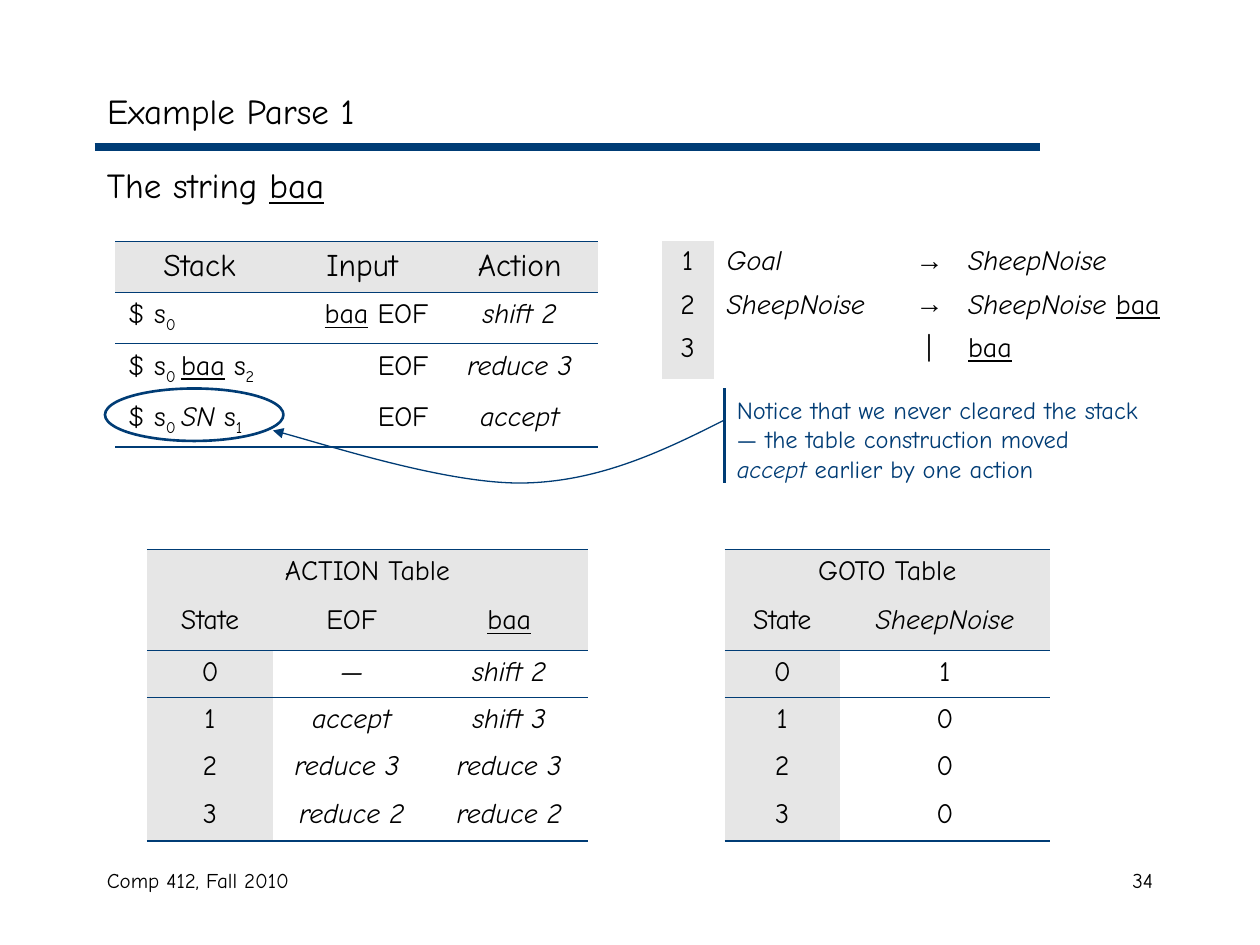
from lxml import etree
from pptx import Presentation
from pptx.dml.color import RGBColor
from pptx.enum.shapes import MSO_CONNECTOR, MSO_SHAPE
from pptx.enum.text import MSO_ANCHOR, PP_ALIGN
from pptx.oxml.ns import qn
from pptx.util import Pt

LEFT, CENTER, RIGHT = PP_ALIGN.LEFT, PP_ALIGN.CENTER, PP_ALIGN.RIGHT
STRAIGHT = MSO_CONNECTOR.STRAIGHT
COLORS = {"ink": "000000", "navy": "003C75", "shade": "E6E6E6"}
FONT = "Comic Neue"
NO_STYLE = "{2D5ABB26-0587-4C30-8999-92F81FD0307C}"
THICK, THIN = 1.08, 0.45

prs = Presentation()
prs.slide_width, prs.slide_height = Pt(720), Pt(540)
slide = prs.slides.add_slide(prs.slide_layouts[5])
shapes = slide.shapes


def write(frame, text, size, align=LEFT, color="ink"):
    """Fill a text frame; *italic*, _underlined_ and ~subscript~ are marked."""
    paragraph = frame.paragraphs[0]
    paragraph.alignment = align
    paragraph.font.size = Pt(size)
    paragraph.font.name = "Arial" if text == "→" else FONT
    paragraph.font.color.rgb = RGBColor.from_string(COLORS[color])
    for mark in "*_~":
        text = text.replace(mark, f"\n{mark}\n")
    active = set()
    for piece in text.split("\n"):
        if piece in ("*", "_", "~"):
            active ^= {piece}
        elif piece:
            run = paragraph.add_run()
            run.text = piece
            if "*" in active:
                run.font.italic = True
            if "_" in active:
                run.font.underline = True
            if "~" in active:
                run.font._element.set("baseline", "-25000")


def add_grid(left, top, widths, heights, rows, aligns, header_rows, shade_first, ruled=True):
    """Add a table with shaded header rows, an optional shaded first column and rules."""
    frame = shapes.add_table(len(rows), len(widths), Pt(left), Pt(top),
                             Pt(sum(widths)), Pt(sum(heights)))
    grid = frame.table
    grid.first_row = grid.horz_banding = False
    grid._tbl.tblPr.find(qn("a:tableStyleId")).text = NO_STYLE
    for column, width in zip(grid.columns, widths):
        column.width = Pt(width)
    for row, height in zip(grid.rows, heights):
        row.height = Pt(height)

    rules = {}
    if ruled:
        rules = {(0, "a:lnT"): THICK, (header_rows - 1, "a:lnB"): THIN,
                 (header_rows, "a:lnT"): THIN, (len(rows) - 1, "a:lnB"): THICK}
    for r, texts in enumerate(rows):
        for c, text in enumerate(texts):
            cell = grid.cell(r, c)
            if text:
                in_header = r < header_rows
                size = 18 if text in ("Stack", "Input", "Action") else 16
                write(cell.text_frame, text, size, CENTER if in_header else aligns[c])
                if not ruled:
                    cell.text_frame.paragraphs[0].line_spacing = 0.9
            for side in ("a:lnT", "a:lnB"):
                if (r, side) in rules:
                    rule = etree.SubElement(cell._tc.get_or_add_tcPr(), qn(side),
                                            w=str(Pt(rules[r, side])))
                    fill = etree.SubElement(rule, qn("a:solidFill"))
                    etree.SubElement(fill, qn("a:srgbClr"), val=COLORS["navy"])
            if r < header_rows or (shade_first and c == 0):
                cell.fill.solid()
                cell.fill.fore_color.rgb = RGBColor.from_string(COLORS["shade"])
            else:
                cell.fill.background()
    return grid


# Title
title = shapes.title
title.left, title.top, title.width, title.height = Pt(54), Pt(42), Pt(612), Pt(42)
title.text_frame.vertical_anchor = MSO_ANCHOR.MIDDLE
write(title.text_frame, "Example Parse 1", 20)

# Subtitle, footer, page number and remark
for left, top, width, height, text, size, align, color in [
    (54, 90, 612, 42, "The string _baa_", 20, LEFT, "ink"),
    (54, 492, 228, 36, "Comp 412, Fall 2010", 12, LEFT, "ink"),
    (516, 492, 150, 36, "34", 12, RIGHT, "ink"),
    (414, 222, 246, 57.6, "Notice that we never cleared the stack — the table "
     "construction moved *accept* earlier by one action", 14, LEFT, "navy"),
]:
    box = shapes.add_textbox(Pt(left), Pt(top), Pt(width), Pt(height))
    box.text_frame.word_wrap = True
    write(box.text_frame, text, size, align, color)

# Grammar
add_grid(378, 138, [30, 108, 30, 144], [24.8, 24.8, 28], [
    ["1", "*Goal*", "→", "*SheepNoise*"],
    ["2", "*SheepNoise*", "→", "*SheepNoise *_baa_"],
    ["3", "", "|", "_baa_"],
], [CENTER, LEFT, CENTER, LEFT], 0, True, ruled=False)

# Parse trace
add_grid(66, 138, [96, 90, 90], [29, 29.5, 29.5, 29.5], [
    ["Stack", "Input", "Action"],
    ["$ s~0~", "_baa_ EOF", "*shift 2*"],
    ["$ s~0 ~_baa_ s~2~", "EOF", "*reduce 3*"],
    ["$ s~0 ~*SN* s~1~", "EOF", "*accept*"],
], [LEFT, RIGHT, CENTER], 1, False)

# ACTION and GOTO tables
for left, widths, rows in [
    (84, [72, 90, 90], [
        ["ACTION Table", "", ""],
        ["State", "EOF", "_baa_"],
        ["0", "*—*", "*shift 2*"],
        ["1", "*accept*", "*shift 3*"],
        ["2", "*reduce 3 *", "*reduce 3*"],
        ["3", "*reduce 2*", "*reduce 2*"],
    ]),
    (414, [66, 120], [
        ["GOTO Table", ""],
        ["State", "*SheepNoise*"],
        ["0", "1"],
        ["1", "0"],
        ["2", "0"],
        ["3", "0"],
    ]),
]:
    grid = add_grid(left, 314, widths, [28, 29.5, 27, 27, 27, 28], rows,
                    [CENTER] * len(widths), 2, True)
    grid.cell(0, 0).merge(grid.cell(0, len(widths) - 1))

# Title rule and bar beside the remark
for x1, y1, x2, y2, weight in [(54, 84, 594, 84, 4.5), (414, 222, 414, 276, 1.5)]:
    bar = shapes.add_connector(STRAIGHT, Pt(x1), Pt(y1), Pt(x2), Pt(y2))
    bar.line.color.rgb = RGBColor.from_string(COLORS["navy"])
    bar.line.width = Pt(weight)
    etree.SubElement(bar._element.spPr, qn("a:effectLst"))

# Ring around the final stack
ring = shapes.add_shape(MSO_SHAPE.OVAL, Pt(60), Pt(222), Pt(102), Pt(30))

# Curved arrow from the remark to the ring: two Bezier segments
curve_points = [(378.5, 258), (342.5, 275), (300, 276), (257, 277), (180, 252), (156, 246)]
builder = shapes.build_freeform(Pt(414), Pt(240))
builder.add_line_segments([(Pt(x), Pt(y)) for x, y in curve_points], close=False)
arrow = builder.convert_to_shape()
segments = list(arrow._element.iter(qn("a:lnTo")))
for first in range(0, len(segments), 3):
    bezier = etree.Element(qn("a:cubicBezTo"))
    segments[first].addprevious(bezier)
    for segment in segments[first:first + 3]:
        bezier.append(segment[0])
        segment.getparent().remove(segment)

for outline, weight in [(ring, 1.5), (arrow, 0.75)]:
    outline.shadow.inherit = False
    outline.fill.background()
    outline.line.color.rgb = RGBColor.from_string(COLORS["navy"])
    outline.line.width = Pt(weight)
etree.SubElement(arrow.line._get_or_add_ln(), qn("a:tailEnd"), type="triangle")

prs.save("out.pptx")
